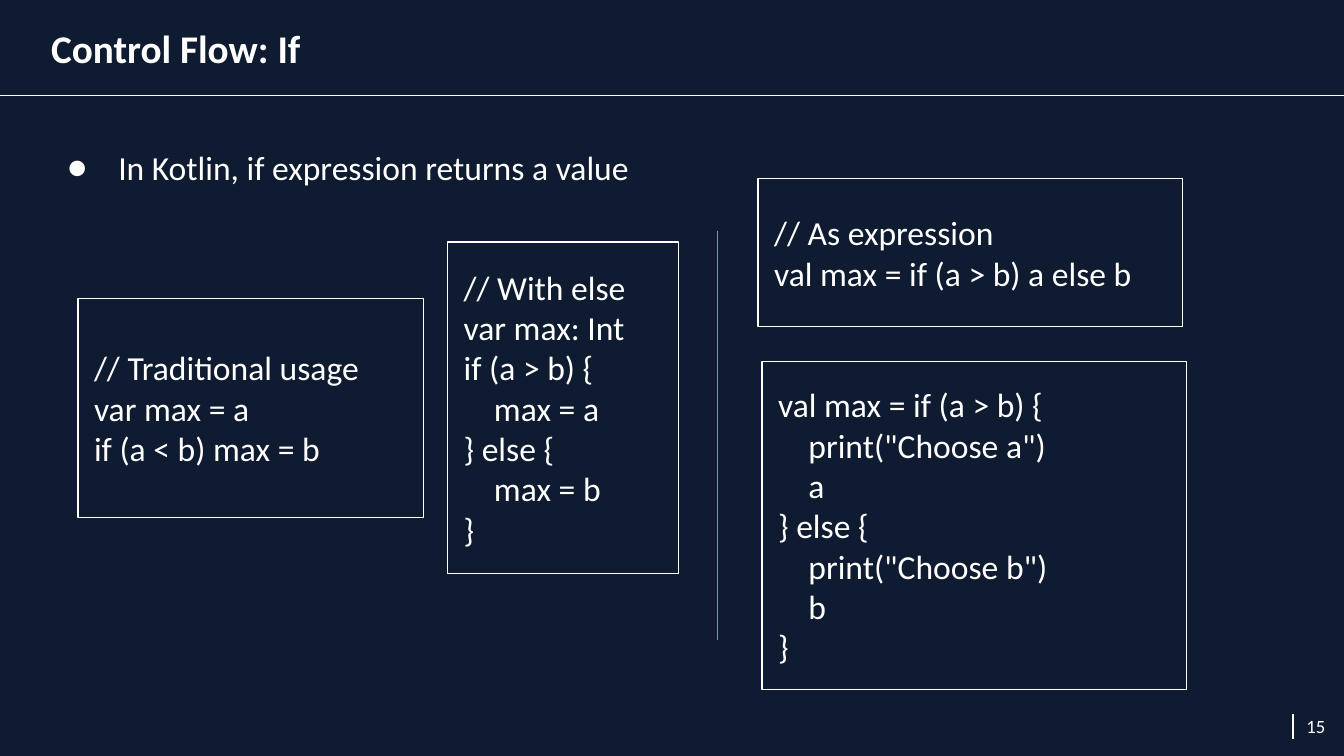
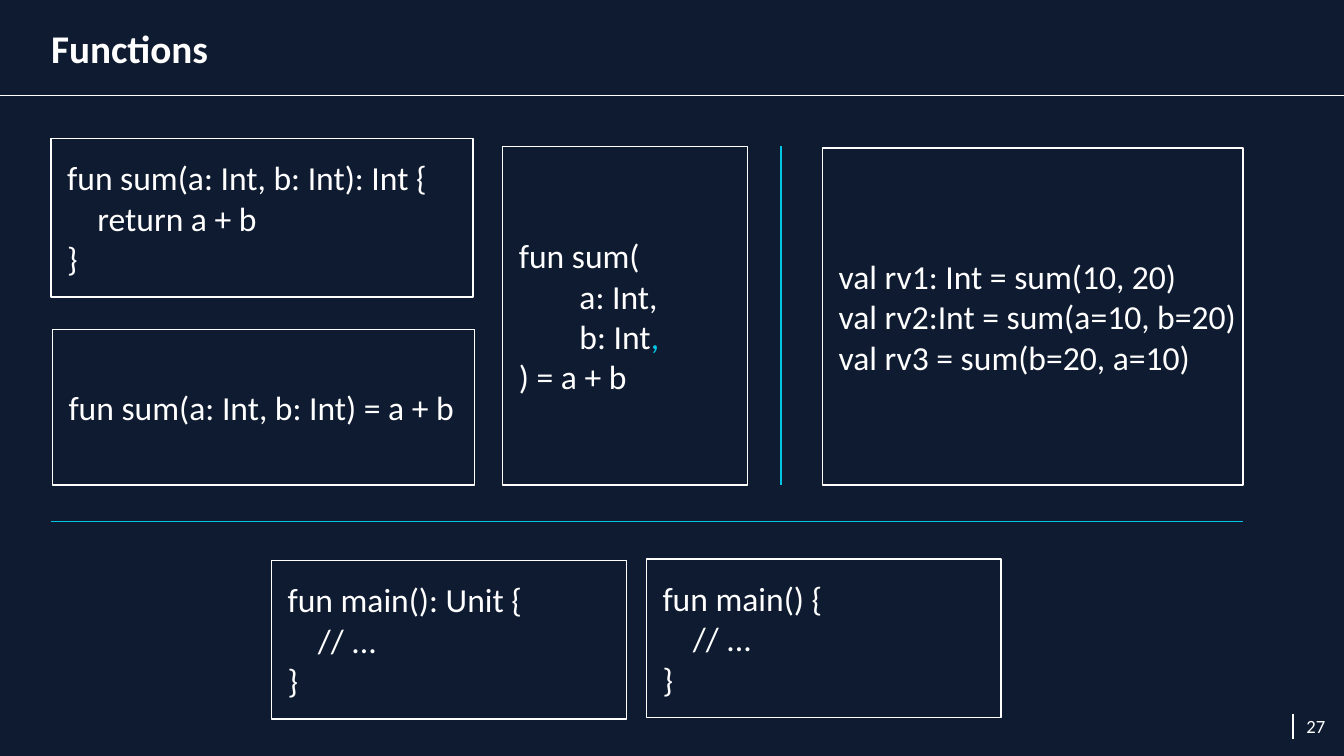
import pptx
import pptx.util
import pptx.dml.color
import pptx.enum.shapes
import pptx.enum.text
import pptx.oxml.ns
import lxml.etree

Inches = pptx.util.Inches
Pt = pptx.util.Pt
ALIGN = pptx.enum.text.PP_ALIGN
ANCHOR = pptx.enum.text.MSO_ANCHOR
COLOR = {"back": "0F1B30", "text": "FFFFFF", "rule": "00C5E5", "mark": "00C9EA"}
TITLE = {"name": "Calibri", "size": Pt(21), "bold": True}
BODY = {"name": "Calibri", "size": Pt(18), "bold": False}
PAGE = {"name": "Calibri", "size": Pt(10), "bold": False}


def rgb(name):
    return pptx.dml.color.RGBColor.from_string(COLOR[name])


def style(font, form, color="text"):
    for key, value in form.items():
        setattr(font, key, value)
    font.color.rgb = rgb(color)


def place(shape, *box):
    for key, value in zip(("left", "top", "width", "height"), box):
        setattr(shape, key, Inches(value))


def add(parent, tag, **attrs):
    """Append a DrawingML element with the given attributes."""
    lxml.etree.SubElement(parent, pptx.oxml.ns.qn(tag), attrs)


def setup(frame, anchor, pad=0):
    form = {"word_wrap": True, "vertical_anchor": anchor,
            "auto_size": pptx.enum.text.MSO_AUTO_SIZE.NONE}
    for side in ("left", "top", "right", "bottom"):
        form["margin_" + side] = Inches(pad)
    for key, value in form.items():
        setattr(frame, key, value)


def write(para, words, form, color="text"):
    """Add words to a paragraph, with a line break at each newline."""
    for i, part in enumerate(words.split("\n")):
        if i:
            para.add_line_break()
        if part:
            run = para.add_run()
            run.text = part
            style(run.font, form, color)


def fill(frame, paras, form, align=ALIGN.LEFT, left=0):
    """Write one paragraph for each text, indented by left inches."""
    for i, words in enumerate(paras):
        para = frame.add_paragraph() if i else frame.paragraphs[0]
        para.alignment = align
        props = para._p.get_or_add_pPr()
        props.set("marL", str(Inches(left)))
        props.set("indent", "0")
        write(para, words, form)


def rule(slide, x1, y1, x2, y2, color="rule"):
    line = slide.shapes.add_connector(
        pptx.enum.shapes.MSO_CONNECTOR.STRAIGHT,
        Inches(x1), Inches(y1), Inches(x2), Inches(y2))
    line.line.color.rgb = rgb(color)
    line.line.width = Pt(0.75)
    add(line._element.spPr, "a:effectLst")


def bullet(slide, box, words):
    frame = slide.shapes.add_textbox(*map(Inches, box)).text_frame
    setup(frame, ANCHOR.TOP)
    para = frame.paragraphs[0]
    props = para._p.get_or_add_pPr()
    props.set("marL", str(Inches(0.5)))
    props.set("indent", str(Inches(-0.38)))
    add(props, "a:buFont", typeface="Calibri")
    add(props, "a:buChar", char="●")
    write(para, words, BODY)


def number(slide, page):
    box = slide.shapes.add_textbox(*map(Inches, (9.5, 5.19, 0.46, 0.43)))
    setup(box.text_frame, ANCHOR.MIDDLE, 0.1)
    fill(box.text_frame, [str(page)], PAGE, ALIGN.RIGHT)


def code(slide, box, *paras):
    """Add an outlined box of code and return its text frame."""
    shape = slide.shapes.add_shape(
        pptx.enum.shapes.MSO_SHAPE.RECTANGLE, *map(Inches, box))
    shape.shadow.inherit = False
    shape.fill.background()
    shape.line.color.rgb = rgb("text")
    shape.line.width = Pt(0.75)
    setup(shape.text_frame, ANCHOR.MIDDLE)
    fill(shape.text_frame, paras, BODY, left=0.12)
    return shape.text_frame


def start(deck, title, page):
    """Add a slide with its title, header rule and page number."""
    slide = deck.slides.add_slide(deck.slide_layouts[5])
    head = slide.shapes.title
    place(head, 0.38, 0, 9.25, 0.71)
    setup(head.text_frame, ANCHOR.MIDDLE)
    fill(head.text_frame, [title], TITLE)
    number(slide, page)
    rule(slide, 9.62, 5.31, 9.62, 5.5, "text")
    rule(slide, 0, 0.71, 10, 0.71, "text")
    return slide


def branch(deck):
    slide = start(deck, "Control Flow: If", 15)
    bullet(slide, (0.38, 1.09, 9.25, 4.16),
           "In Kotlin, if expression returns a value")
    code(slide, (0.58, 2.22, 2.57, 1.63),
         "// Traditional usage", "var max = a", "if (a < b) max = b")
    code(slide, (5.64, 1.33, 3.16, 1.1),
         "// As expression", "val max = if (a > b) a else b")
    code(slide, (3.33, 1.8, 1.72, 2.47),
         "// With else", "var max: Int", "if (a > b) {", "    max = a",
         "} else {", "    max = b", "}")
    rule(slide, 5.34, 1.72, 5.34, 4.76)
    code(slide, (5.67, 2.69, 3.16, 2.44),
         "val max = if (a > b) {", '    print("Choose a")', "    a",
         "} else {", '    print("Choose b")', "    b", "}")


def funcs(deck):
    slide = start(deck, "Functions", 27)
    code(slide, (0.38, 1.03, 3.14, 1.18),
         "fun sum(a: Int, b: Int): Int {", "    return a + b", "}")
    code(slide, (0.39, 2.45, 3.14, 1.16), "fun sum(a: Int, b: Int) = a + b")
    for left, top, head in ((2.02, 4.17, "fun main(): Unit {"),
                            (4.81, 4.16, "fun main() {")):
        code(slide, (left, top, 2.64, 1.18), head + "\n    // ...\n}")
    code(slide, (6.12, 1.1, 3.13, 2.51), "val rv1: Int = sum(10, 20)",
         "val rv2:Int = sum(a=10, b=20)\nval rv3 = sum(b=20, a=10)")
    frame = code(slide, (3.74, 1.09, 1.82, 2.52),
                 "fun sum(\n        a: Int, \n        b: Int")
    para = frame.paragraphs[0]
    write(para, ",\n", BODY, "mark")
    write(para, ") = a + b", BODY)
    rule(slide, 5.81, 1.09, 5.81, 3.61)
    rule(slide, 0.38, 3.88, 9.25, 3.88)


def main():
    deck = pptx.Presentation()
    deck.slide_width = Inches(10)
    deck.slide_height = deck.slide_width * 9 // 16
    back = deck.slide_master.background.fill
    back.solid()
    back.fore_color.rgb = rgb("back")
    branch(deck)
    funcs(deck)
    deck.save("out.pptx")


if __name__ == "__main__":
    main()
